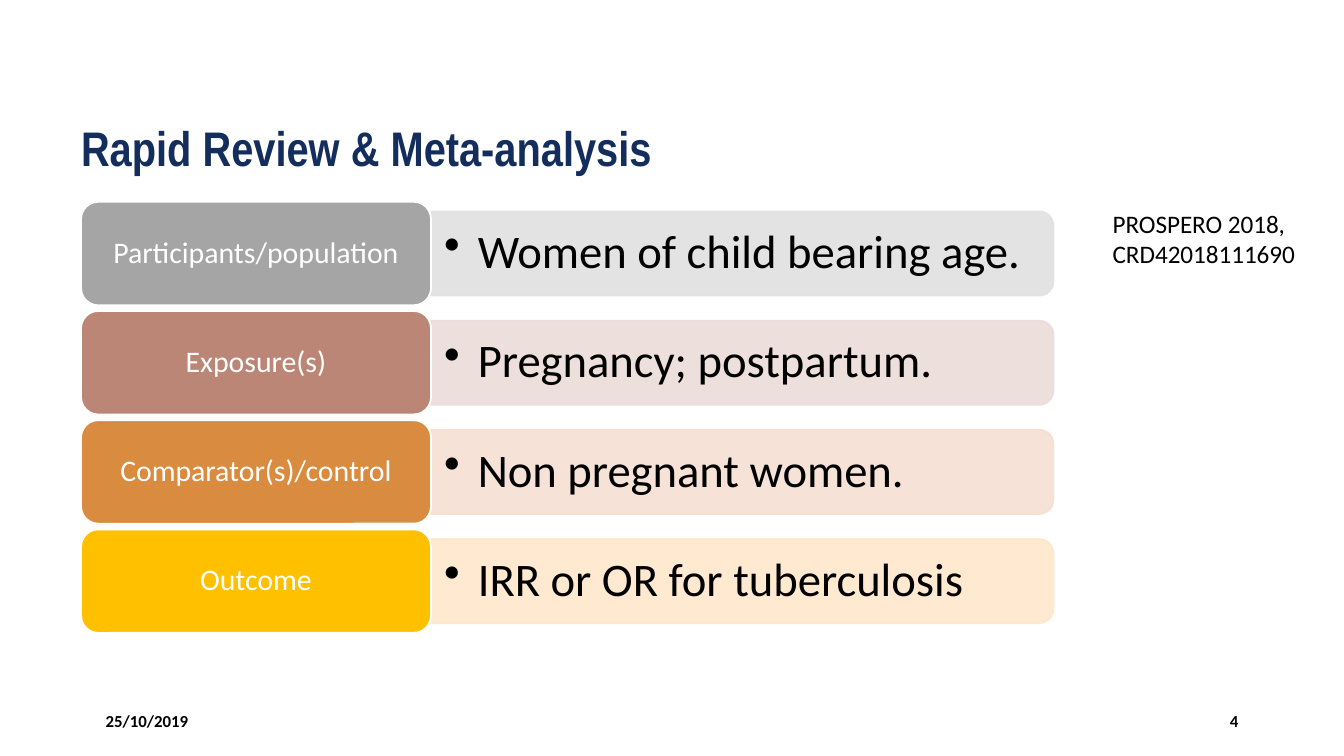
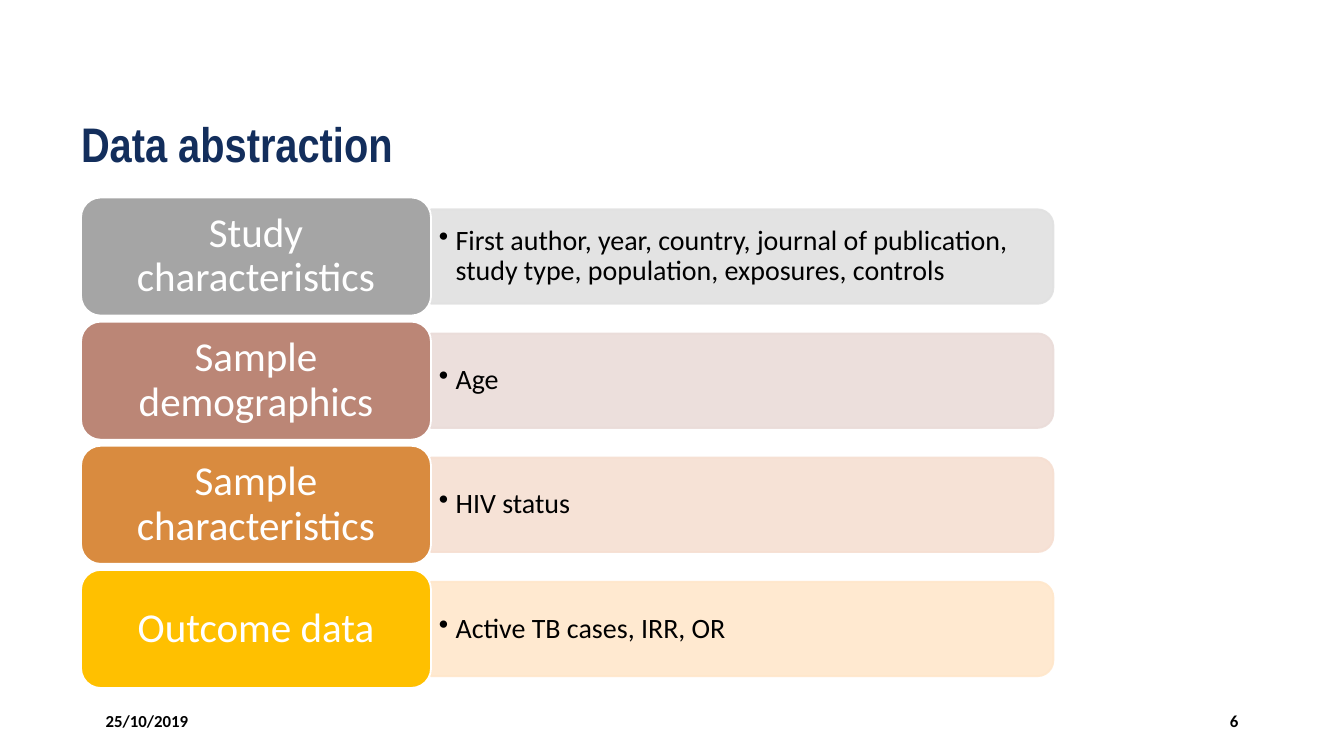
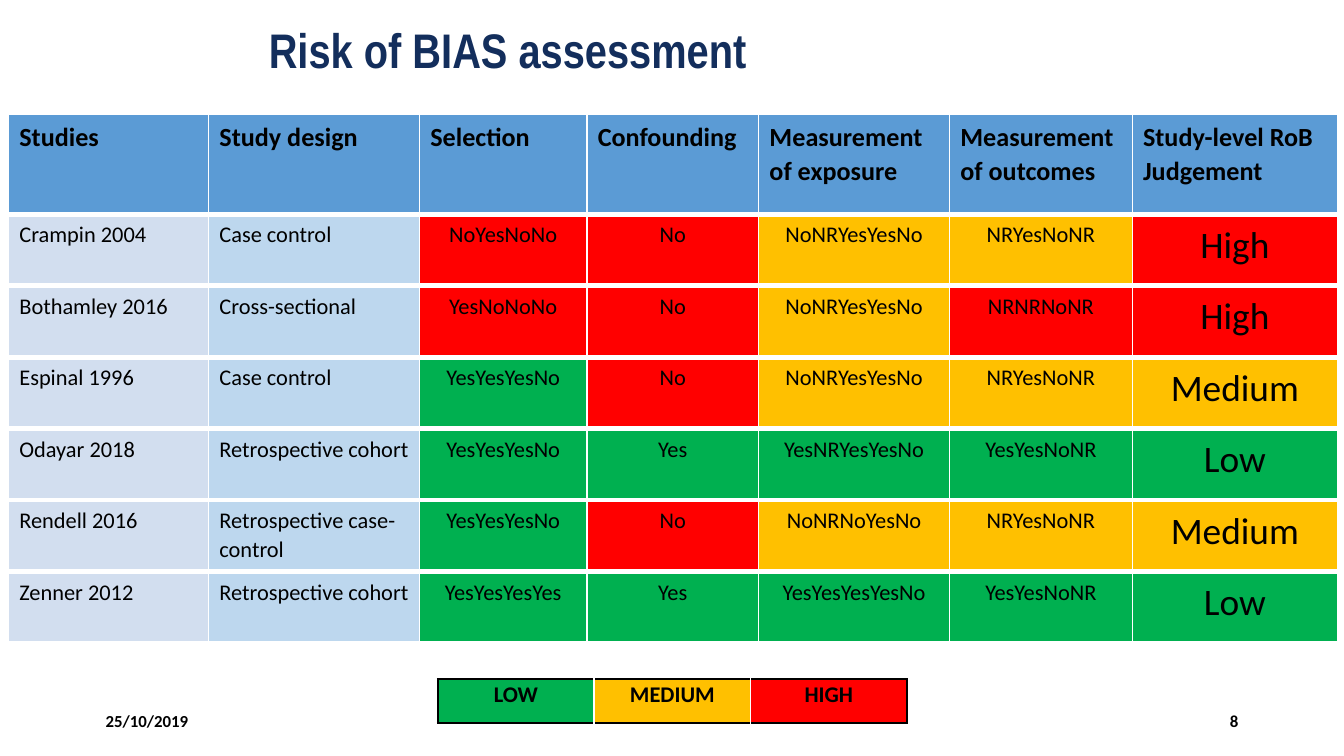
from dataclasses import dataclass
from typing import Any, NamedTuple

from lxml import etree
from pptx import Presentation
from pptx.dml.color import RGBColor
from pptx.enum.shapes import MSO_SHAPE
from pptx.enum.text import MSO_ANCHOR, MSO_AUTO_SIZE, PP_ALIGN
from pptx.oxml.ns import qn
from pptx.util import Pt

LEFT, CENTER, RIGHT = PP_ALIGN.LEFT, PP_ALIGN.CENTER, PP_ALIGN.RIGHT
TOP, MIDDLE = MSO_ANCHOR.TOP, MSO_ANCHOR.MIDDLE
NO_AUTO_SIZE = MSO_AUTO_SIZE.NONE
LABEL_SHAPE = MSO_SHAPE.ROUNDED_RECTANGLE
BAND_SHAPE = MSO_SHAPE.ROUND_2_SAME_RECTANGLE

TITLE_ONLY = 5
DATE = "25/10/2019"
COLORS = {
    "title": "132E5C",
    "black": "000000",
    "white": "FFFFFF",
    "header": "5B9BD5",
    "study": "D2DEEF",
    "design": "BDD7EE",
    "Low": "00B050",
    "Medium": "FFC000",
    "High": "FF0000",
}
ROW_COLORS = [
    ("A5A5A5", "E1E1E1"),
    ("BB8676", "EADCD9"),
    ("D98B3F", "F6DFD2"),
    ("FFC000", "FFE7CB"),
]
RATINGS = {"L": "Low", "M": "Medium", "H": "High"}


class Box(NamedTuple):
    left: float
    top: float
    width: float
    height: float

    def points(self) -> list[Pt]:
        return [Pt(value) for value in self]


@dataclass
class TextStyle:
    size: float
    color: str = "black"
    bold: bool = False
    name: str = "Calibri"
    alignment: Any = LEFT
    line_spacing: float = 1.0
    space_after: float = 0
    bullet_indent: float = 0


@dataclass
class LabelList:
    top: float
    pitch: float
    label_height: float
    band_height: float
    label_style: TextStyle
    label_inset: float
    band_style: TextStyle
    band_insets: tuple[float, float]
    rows: list[tuple[str, str]]


class Study(NamedTuple):
    name: str
    design: str
    answers: tuple[str, str, str, str]
    ratings: str
    judgement: str


TITLE_STYLE = TextStyle(26, "title", True, "Arial Narrow")
DATE_STYLE = TextStyle(9, bold=True)
NUMBER_STYLE = TextStyle(9, bold=True, alignment=RIGHT)
NOTE_STYLE = TextStyle(13.5)
HEADER_STYLE = TextStyle(14, bold=True, line_spacing=1.07, space_after=8)
STUDY_STYLE = TextStyle(12, line_spacing=1.07, space_after=8)
DESIGN_STYLE = TextStyle(12, line_spacing=1.07)
ANSWER_STYLE = TextStyle(12, alignment=CENTER, line_spacing=1.07)
JUDGEMENT_STYLE = TextStyle(20, alignment=CENTER, line_spacing=1.07)
LEGEND_STYLE = TextStyle(12, bold=True, alignment=CENTER, line_spacing=1.07)

REVIEW = LabelList(
    108.1, 58.5, 55.5, 45,
    TextStyle(16, "white", alignment=CENTER, line_spacing=0.9), 8,
    TextStyle(25, line_spacing=0.9, bullet_indent=18), (7.2, 3.6),
    [
        ("Participants/population", "Women of child bearing age."),
        ("Exposure(s)", "Pregnancy; postpartum."),
        ("Comparator(s)/control", "Non pregnant women."),
        ("Outcome", "IRR or OR for tuberculosis"),
    ],
)
ABSTRACTION = LabelList(
    105.8, 66.5, 63.3, 50.6,
    TextStyle(22, "white", alignment=CENTER, line_spacing=0.9), 9.5,
    TextStyle(15, line_spacing=0.9, bullet_indent=9), (4.2, 2.1),
    [
        ("Study characteristics",
         "First author, year, country, journal of publication, "
         "study type, population, exposures, controls"),
        ("Sample demographics", "Age"),
        ("Sample characteristics", "HIV status"),
        ("Outcome data", "Active TB cases, IRR, OR"),
    ],
)
LABEL_LEFT, LABEL_WIDTH = 43.4, 187.5
BAND_LEFT, BAND_WIDTH = 230.9, 333.4

HEADERS = [
    "Studies", "Study design", "Selection", "Confounding",
    "Measurement of exposure", "Measurement of outcomes",
    "Study-level RoB Judgement",
]
STUDIES = [
    Study("Crampin 2004", "Case control",
          ("NoYesNoNo", "No", "NoNRYesYesNo", "NRYesNoNR"), "HHMM", "High"),
    Study("Bothamley 2016", "Cross-sectional",
          ("YesNoNoNo", "No", "NoNRYesYesNo", "NRNRNoNR"), "HHMH", "High"),
    Study("Espinal 1996", "Case control",
          ("YesYesYesNo", "No", "NoNRYesYesNo", "NRYesNoNR"), "LHMM", "Medium"),
    Study("Odayar 2018", "Retrospective cohort",
          ("YesYesYesNo", "Yes", "YesNRYesYesNo", "YesYesNoNR"), "LLLL", "Low"),
    Study("Rendell 2016", "Retrospective case-control",
          ("YesYesYesNo", "No", "NoNRNoYesNo", "NRYesNoNR"), "LHMM", "Medium"),
    Study("Zenner 2012", "Retrospective cohort",
          ("YesYesYesYes", "Yes", "YesYesYesYesNo", "YesYesNoNR"), "LLLL", "Low"),
]
COLUMN_WIDTHS = [107.2, 113, 89.7, 92, 102.3, 97.9, 110]
HEADER_HEIGHT, STUDY_HEIGHT = 53.5, 38.3


def rgb(color: str) -> RGBColor:
    return RGBColor.from_string(COLORS.get(color, color))


def apply(target: Any, values: dict[str, Any]) -> None:
    for name, value in values.items():
        setattr(target, name, value)


def write(frame: Any, lines: list[str], style: TextStyle) -> None:
    for index, line in enumerate(lines):
        paragraph = frame.add_paragraph() if index else frame.paragraphs[0]
        apply(paragraph, {
            "alignment": style.alignment,
            "line_spacing": style.line_spacing,
            "space_before": Pt(0),
            "space_after": Pt(style.space_after),
        })
        if style.bullet_indent:
            properties = paragraph._p.get_or_add_pPr()
            properties.set("marL", str(Pt(style.bullet_indent)))
            properties.set("indent", str(-Pt(style.bullet_indent)))
            etree.SubElement(properties, qn("a:buChar")).set("char", "•")
        run = paragraph.add_run()
        run.text = line
        apply(run.font, {"name": style.name, "size": Pt(style.size), "bold": style.bold})
        run.font.color.rgb = rgb(style.color)


def set_frame(frame: Any, insets: tuple[float, float], anchor: Any) -> None:
    horizontal, vertical = (Pt(inset) for inset in insets)
    apply(frame, {
        "word_wrap": True,
        "auto_size": NO_AUTO_SIZE,
        "vertical_anchor": anchor,
        "margin_left": horizontal,
        "margin_right": horizontal,
        "margin_top": vertical,
        "margin_bottom": vertical,
    })


def add_text(slide: Any, box: Box, lines: list[str], style: TextStyle,
             anchor: Any = MIDDLE, insets: tuple[float, float] = (7.2, 3.6)) -> None:
    frame = slide.shapes.add_textbox(*box.points()).text_frame
    set_frame(frame, insets, anchor)
    write(frame, lines, style)


def add_block(slide: Any, kind: Any, box: Box, fill: str, line: str) -> Any:
    shape = slide.shapes.add_shape(kind, *box.points())
    shape.shadow.inherit = False
    shape.fill.solid()
    shape.fill.fore_color.rgb = rgb(fill)
    shape.line.color.rgb = rgb(line)
    shape.line.width = Pt(1)
    return shape


def add_slide(presentation: Any, title: str, left: float, top: float, number: int) -> Any:
    slide = presentation.slides.add_slide(presentation.slide_layouts[TITLE_ONLY])
    placeholder = slide.shapes.title
    names = ("left", "top", "width", "height")
    apply(placeholder, dict(zip(names, Box(left, top, 546, 38).points())))
    set_frame(placeholder.text_frame, (0, 0), TOP)
    write(placeholder.text_frame, [title], TITLE_STYLE)
    add_text(slide, Box(49.5, 375.4, 162, 21.6), [DATE], DATE_STYLE)
    add_text(slide, Box(508.5, 375.4, 162, 21.6), [str(number)], NUMBER_STYLE)
    return slide


def add_label_list(slide: Any, content: LabelList) -> None:
    for index, ((label, detail), (dark, light)) in enumerate(zip(content.rows, ROW_COLORS)):
        top = content.top + index * content.pitch
        middle = top + content.label_height / 2
        height = content.band_height
        upright = Box(BAND_LEFT + (BAND_WIDTH - height) / 2, middle - BAND_WIDTH / 2,
                      height, BAND_WIDTH)
        band = add_block(slide, BAND_SHAPE, upright, light, light)
        band.rotation = 90
        for color in band._element.spPr.iter(qn("a:srgbClr")):
            etree.SubElement(color, qn("a:alpha")).set("val", "90000")
        text_height = height - 5
        add_text(slide, Box(BAND_LEFT, middle - text_height / 2, BAND_WIDTH - 2.2, text_height),
                 [detail], content.band_style, insets=content.band_insets)
        block = add_block(slide, LABEL_SHAPE,
                          Box(LABEL_LEFT, top, LABEL_WIDTH, content.label_height), dark, "white")
        set_frame(block.text_frame, (content.label_inset, 5), MIDDLE)
        write(block.text_frame, [label], content.label_style)


def add_grid(slide: Any, left: float, top: float, widths: list[float],
             heights: list[float]) -> Any:
    box = Box(left, top, sum(widths), sum(heights))
    frame = slide.shapes.add_table(len(heights), len(widths), *box.points())
    table = frame.table
    apply(table, {"first_row": False, "horz_banding": False})
    for column, width in zip(table.columns, widths):
        column.width = Pt(width)
    for row, height in zip(table.rows, heights):
        row.height = Pt(height)
    return table


def fill_cell(cell: Any, text: str, style: TextStyle, fill: str,
              borders: dict[str, tuple[str, float]], insets: tuple[float, float]) -> None:
    horizontal, vertical = (Pt(inset) for inset in insets)
    apply(cell, {
        "margin_left": horizontal,
        "margin_right": horizontal,
        "margin_top": vertical,
        "margin_bottom": vertical,
        "vertical_anchor": TOP,
    })
    properties = cell._tc.get_or_add_tcPr()
    for side in "LRTB":
        color, width = borders[side]
        line = etree.SubElement(properties, qn(f"a:ln{side}"))
        line.set("w", str(Pt(width)))
        solid = etree.SubElement(line, qn("a:solidFill"))
        etree.SubElement(solid, qn("a:srgbClr")).set("val", COLORS[color])
    cell.fill.solid()
    cell.fill.fore_color.rgb = rgb(fill)
    write(cell.text_frame, [text], style)


def add_bias_table(slide: Any) -> None:
    heights = [HEADER_HEIGHT] + [STUDY_HEIGHT] * len(STUDIES)
    table = add_grid(slide, 4.6, 61.2, COLUMN_WIDTHS, heights)
    rows = [[(header, HEADER_STYLE, "header") for header in HEADERS]]
    for study in STUDIES:
        answers = [(answer, ANSWER_STYLE, RATINGS[rating])
                   for answer, rating in zip(study.answers, study.ratings)]
        rows.append([
            (study.name, STUDY_STYLE, "study"),
            (study.design, DESIGN_STYLE, "design"),
            *answers,
            (study.judgement, JUDGEMENT_STYLE, study.judgement),
        ])
    for row_index, row in enumerate(rows):
        borders = {
            "L": ("white", 1),
            "R": ("white", 1),
            "T": ("white", 3 if row_index else 1),
            "B": ("white", 3),
        }
        for column_index, (text, style, fill) in enumerate(row):
            fill_cell(table.cell(row_index, column_index), text, style, fill,
                      borders, (5.8, 2.9))


def add_legend(slide: Any) -> None:
    levels = list(RATINGS.values())
    table = add_grid(slide, 234.5, 363.8, [83.8] * len(levels), [23.5])
    for index, level in enumerate(levels):
        borders = {
            "L": ("white" if index else "black", 1),
            "R": ("white" if index < len(levels) - 1 else "black", 1),
            "T": ("black", 1),
            "B": ("black", 1),
        }
        fill_cell(table.cell(0, index), level.upper(), LEGEND_STYLE, level, borders, (5, 0))


def main() -> None:
    presentation = Presentation()
    apply(presentation, {"slide_width": Pt(720), "slide_height": Pt(405)})

    review = add_slide(presentation, "Rapid Review & Meta-analysis", 43.4, 63.4, 4)
    add_label_list(review, REVIEW)
    add_text(review, Box(589, 108, 119, 40), ["PROSPERO 2018,", "CRD42018111690"],
             NOTE_STYLE, TOP)

    abstraction = add_slide(presentation, "Data abstraction", 43.4, 61.2, 6)
    add_label_list(abstraction, ABSTRACTION)

    bias = add_slide(presentation, "Risk of BIAS assessment", 144, 10.8, 8)
    add_bias_table(bias)
    add_legend(bias)

    presentation.save("out.pptx")


if __name__ == "__main__":
    main()
